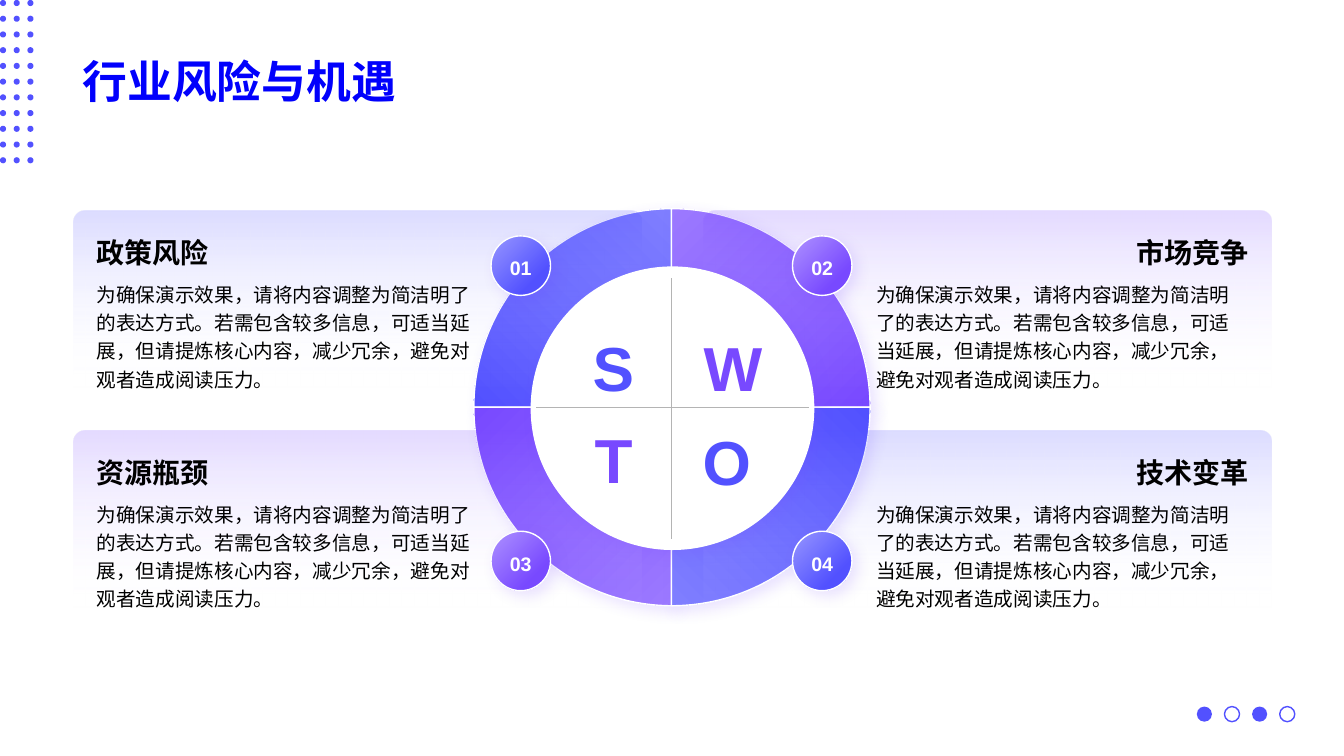
from itertools import product
from math import cos, pi, sin

from lxml.etree import SubElement
from pptx import Presentation
from pptx.dml.color import RGBColor as Rgb
from pptx.enum.lang import MSO_LANGUAGE_ID as Lang
from pptx.enum.shapes import MSO_CONNECTOR as Link, MSO_SHAPE as Kind
from pptx.enum.text import MSO_ANCHOR as Anchor, PP_ALIGN as Align
from pptx.oxml.ns import qn
from pptx.util import Pt

PX = 9144
HUES = {
    "blue": "5251FF", "sky": "9797FF", "violet": "7849FF", "lilac": "AE92FF",
    "title": "0100FC", "black": "000000", "white": "FFFFFF", "gray": "B4B4B4",
}
TINTS = {"blue": "sky", "violet": "lilac"}
BODY = ("为确保演示效果，请将内容调整为简洁明了的表达方式。若需包含较多信息，"
        "可适当延展，但请提炼核心内容，减少冗余，避免对观者造成阅读压力。")
CARDS = [
    ("01", "政策风险", "blue", 0, 0),
    ("02", "市场竞争", "violet", 1, 0),
    ("03", "资源瓶颈", "violet", 0, 1),
    ("04", "技术变革", "blue", 1, 1),
]
ARCS = [("blue", 0, 0), ("violet", 1, 0), ("violet", 0, 1), ("blue", 1, 1)]
MARKS = [
    ("S", "blue", 578, 311, 65), ("W", "violet", 688, 311, 84),
    ("O", "blue", 687, 404, 73), ("T", "violet", 580, 402, 61),
]


def rgb(name):
    """Return the named colour."""
    return Rgb.from_string(HUES[name])


def scale(*nums):
    """Turn px lengths into EMU."""
    return [round(num * PX) for num in nums]


def write(shape, text, size, hue, bold=True, align=Align.LEFT,
          anchor=Anchor.MIDDLE, wrap=True):
    """Put one formatted paragraph into a shape."""
    frame = shape.text_frame
    para = frame.paragraphs[0]
    run = para.add_run()
    run.text = text
    formats = [
        (frame, {"word_wrap": wrap, "vertical_anchor": anchor}),
        (para, {"alignment": align, "line_spacing": 1.2}),
        (run.font, {"name": "Arial", "size": Pt(size), "bold": bold,
                    "language_id": Lang.SIMPLIFIED_CHINESE}),
    ]
    for item, values in formats:
        for key, value in values.items():
            setattr(item, key, value)
    run.font.color.rgb = rgb(hue)


def label(slide, box, *args, **look):
    """Add a text box with one paragraph."""
    write(slide.shapes.add_textbox(*scale(*box)), *args, **look)


def draw(slide, kind, box, fill=None, line=None):
    """Add a flat preset shape."""
    shape = slide.shapes.add_shape(kind, *scale(*box))
    shape.shadow.inherit = False
    if fill:
        shape.fill.solid()
        shape.fill.fore_color.rgb = rgb(fill)
    if line:
        shape.line.color.rgb = rgb(line)
        shape.line.width = Pt(1)
    else:
        shape.line.fill.background()
    return shape


def blend(shape, stops, angle):
    """Fill a shape with stops of place, colour and opacity."""
    shape.fill.gradient()
    shape.fill.gradient_angle = 360 - angle
    for stop, (place, hue, _) in zip(shape.fill.gradient_stops, stops):
        stop.position = place
        stop.color.rgb = rgb(hue)
    grad = shape._element.spPr.find(qn("a:gradFill"))
    for node, (_, _, alpha) in zip(grad.iter(qn("a:srgbClr")), stops):
        if alpha < 100:
            SubElement(node, qn("a:alpha"), val=str(alpha * 1000))


def shade(shape):
    """Cast a soft violet shadow."""
    list_ = shape._element.spPr.find(qn("a:effectLst"))
    glow = SubElement(list_, qn("a:outerShdw"), blurRad="127000", dist="63500",
                      dir="2700000", algn="tl", rotWithShape="0")
    node = SubElement(glow, qn("a:srgbClr"), val=HUES["violet"])
    SubElement(node, qn("a:alpha"), val="15000")


def gloss(slide, kind, box, hue):
    """Add a glossy shape with a white rim and a shadow."""
    shape = draw(slide, kind, box, line="white")
    blend(shape, [(0, TINTS[hue], 100), (0.75, hue, 100)], 45)
    shade(shape)
    return shape


def flip(shape, across, down):
    """Mirror a shape across or down."""
    for key, on in (("flipH", across), ("flipV", down)):
        if on:
            shape._element.spPr.xfrm.set(key, "1")


def arc(slide, hue, col, row):
    """Add one quarter of the ring."""
    shape = gloss(slide, Kind.BLOCK_ARC, (470 - col, 207, 394, 394), hue)
    for spot, value in enumerate((162, 0, 0.164)):
        shape.adjustments[spot] = value
    flip(shape, not col, row)


def card(slide, num, head, hue, col, row):
    """Add a panel with its heading, body and number badge."""
    top = 218 * row
    panel = draw(slide, Kind.ROUNDED_RECTANGLE,
                 (73 + 625 * col, 209 + top, 563, 201))
    panel.adjustments[0] = 0.058
    blend(panel, [(0, hue, 20), (0.88, "white", 0)], 90)
    flip(panel, col, False)
    label(slide, (86 + 773 * col, 271 + top, 394 - 5 * col, 105), BODY, 14,
          "black", bold=False, anchor=Anchor.TOP)
    label(slide, (86 + 807 * col, 216 + top, 355, 56), head, 20, "black",
          align=Align.RIGHT if col else Align.LEFT, anchor=Anchor.BOTTOM)
    badge = gloss(slide, Kind.ROUNDED_RECTANGLE,
                  (487 + 299 * col, 234 + 293 * row, 59, 59), hue)
    badge.adjustments[0] = 0.5
    write(badge, num, 14, "white", align=Align.CENTER, wrap=False)


def rule(slide, *ends):
    """Add a thin gray line."""
    line = slide.shapes.add_connector(Link.STRAIGHT, *scale(*ends))
    line.line.color.rgb = rgb("gray")
    line.line.width = Pt(0.5)
    SubElement(line._element.spPr, qn("a:effectLst"))


def dots(slide):
    """Add the corner grid of dots as one outline."""
    turns = [2 * pi * step / 16 for step in range(16)]
    rings = [[scale(3 + 13.6 * col + 3 * cos(turn), 3 + 15.6 * row + 3 * sin(turn))
              for turn in turns] for row, col in product(range(11), range(3))]
    path = slide.shapes.build_freeform(*rings[0][0])
    for ring in rings:
        path.move_to(*ring[0])
        path.add_line_segments(ring[1:], close=True)
    grid = path.convert_to_shape()
    grid.shadow.inherit = False
    grid.fill.solid()
    grid.fill.fore_color.rgb = rgb("blue")
    grid.line.fill.background()


def main():
    """Build the slide and save it."""
    deck = Presentation()
    deck.slide_width, deck.slide_height = scale(1333, 750)
    slide = deck.slides.add_slide(deck.slide_layouts[6])
    for step in range(4):
        fill, line = ("white", "blue") if step % 2 else ("blue", None)
        draw(slide, Kind.OVAL, (1187 + 27.4 * step, 701, 15, 15), fill, line)
    dots(slide)
    label(slide, (72, 14, 1188, 98), "行业风险与机遇", 32, "title",
          anchor=Anchor.BOTTOM)
    for part in ARCS:
        arc(slide, *part)
    for part in CARDS:
        card(slide, *part)
    shade(draw(slide, Kind.OVAL, (527, 265, 280, 280), "white", "white"))
    rule(slide, 532, 404, 802, 404)
    rule(slide, 666, 276, 666, 535)
    for text, hue, left, top, width in MARKS:
        label(slide, (left, top, width, 91), text, 44.4, hue, wrap=False)
    deck.save("out.pptx")


if __name__ == "__main__":
    main()
